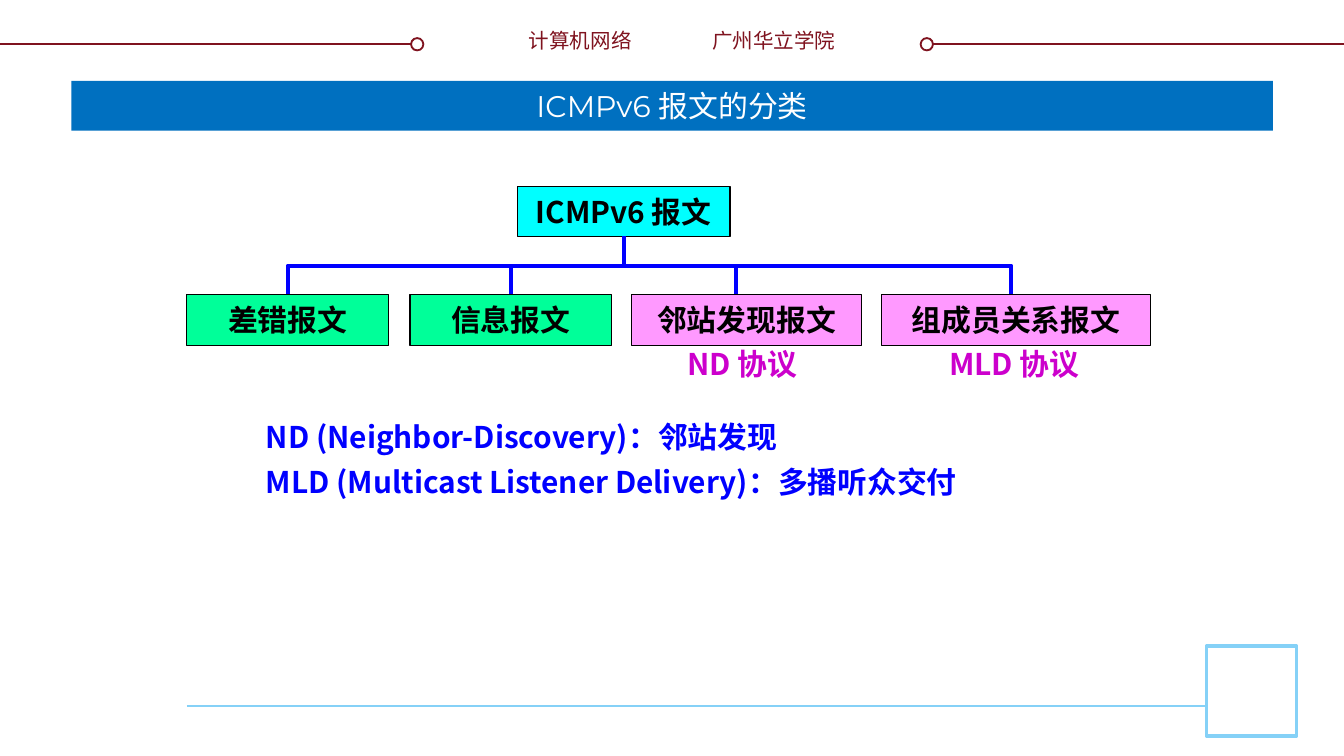
from typing import NamedTuple

from lxml.etree import SubElement
from pptx import Presentation
from pptx.dml.color import RGBColor
from pptx.enum.shapes import MSO_CONNECTOR as Connector
from pptx.enum.shapes import MSO_SHAPE as Preset
from pptx.enum.text import MSO_ANCHOR as Anchor
from pptx.enum.text import PP_ALIGN as Align
from pptx.oxml.ns import qn
from pptx.util import Pt

COLORS = {
    "white": "FFFFFF", "black": "000000", "maroon": "7F131F",
    "sky": "85D1F7", "title": "0070C0", "cyan": "00FFFF",
    "green": "00FF99", "pink": "FF99FF", "purple": "CC00CC", "blue": "0000FF",
}
HAN_FONT = "Noto Sans CJK SC"


class Area(NamedTuple):
    left: float
    top: float
    width: float
    height: float

    @property
    def center(self) -> float:
        return self.left + self.width / 2

    @property
    def bottom(self) -> float:
        return self.top + self.height


class Style(NamedTuple):
    color: str
    size: float = 16
    bold: bool = True
    align: Align = Align.CENTER
    font: str = HAN_FONT


class Node(NamedTuple):
    text: str
    area: Area
    fill: str


class Label(NamedTuple):
    lines: list[str]
    area: Area
    style: Style
    inset: float = 0  # above and below the text
    wrap: bool = True
    spacing: float | None = None


def rgb(name: str) -> RGBColor:
    return RGBColor.from_string(COLORS[name])


def write(frame, lines: list[str], style: Style, spacing: float | None = None) -> None:
    for index, text in enumerate(lines):
        para = frame.paragraphs[0] if index == 0 else frame.add_paragraph()
        para.text = text
        para.alignment = style.align
        if spacing:
            para.line_spacing = Pt(spacing)
        font = para.font
        font.size, font.bold, font.name = Pt(style.size), style.bold, style.font
        font.color.rgb = rgb(style.color)
        defaults = para._p.pPr.find(qn("a:defRPr"))
        SubElement(defaults, qn("a:ea")).set("typeface", HAN_FONT)


def add_box(page, area: Area, fill: str, line: str | None = None,
            weight: float = 1, preset: Preset = Preset.RECTANGLE):
    box = page.shapes.add_shape(preset, *map(Pt, area))
    box.shadow.inherit = False
    box.fill.solid()
    box.fill.fore_color.rgb = rgb(fill)
    if line:
        box.line.color.rgb = rgb(line)
        box.line.width = Pt(weight)
    else:
        box.line.fill.background()
    return box


def add_node(page, node: Node):
    box = add_box(page, node.area, node.fill, "black", 0.75)
    frame = box.text_frame
    frame.word_wrap = False
    frame.vertical_anchor = Anchor.MIDDLE
    write(frame, [node.text], Style("black"))
    return box


def add_line(page, start: tuple[float, float], end: tuple[float, float],
             color: str, weight: float):
    line = page.shapes.add_connector(Connector.STRAIGHT, *map(Pt, (*start, *end)))
    line.line.color.rgb = rgb(color)
    line.line.width = Pt(weight)
    SubElement(line._element.spPr, qn("a:effectLst"))
    return line


def add_label(page, label: Label) -> None:
    frame = page.shapes.add_textbox(*map(Pt, label.area)).text_frame
    frame.word_wrap = label.wrap
    frame.margin_top = frame.margin_bottom = Pt(label.inset)
    write(frame, label.lines, label.style, label.spacing)


deck = Presentation()
deck.slide_width, deck.slide_height = Pt(720), Pt(405)
page = deck.slides.add_slide(deck.slide_layouts[6])

# Header: a line from each edge, ending in a ring
HEADER_Y, RING, REACH = 23.7, 6.6, 226.8
for edge, tip, ring_left in ((0, REACH, REACH - RING), (720, 720 - REACH, 720 - REACH)):
    add_line(page, (edge, HEADER_Y), (tip, HEADER_Y), "maroon", 1)
    ring = Area(ring_left, HEADER_Y - RING / 2, RING, RING)
    add_box(page, ring, "white", "maroon", 1, Preset.OVAL)

# Footer: line and square
square = add_box(page, Area(646.4, 346.1, 48.2, 48.2), "white", "sky", 2)
footer = add_line(page, (100.1, 378.2), (646.4, 378.2), "sky", 1.5)

# Title bar
title = add_box(page, Area(38.2, 43.4, 643.7, 26.6), "title")
title.text_frame.vertical_anchor = Anchor.MIDDLE
write(title.text_frame, ["ICMPv6 报文的分类"], Style("white", bold=False, font="Montserrat"))

# Message tree
ROW_TOP, ROW_HEIGHT, BUS_Y, WEIGHT = 157.7, 27.4, 142.4, 2.25
root = Node("ICMPv6 报文", Area(277.2, 100.1, 113.8, 26.6), "cyan")
errors, info, neighbors, members = [
    Node(text, Area(left, ROW_TOP, width, ROW_HEIGHT), fill)
    for text, left, width, fill in (
        ("差错报文", 100.1, 108, "green"),
        ("信息报文", 219.6, 108, "green"),
        ("邻站发现报文", 338.4, 123.1, "pink"),
        ("组成员关系报文", 472.3, 144, "pink"),
    )
]
root_box = add_node(page, root)
add_node(page, errors)
info_box = add_node(page, info)
add_node(page, neighbors)
add_node(page, members)

# Bus over the outer nodes
BUS_LEFT, BUS_RIGHT = errors.area.center, 541.8
builder = page.shapes.build_freeform(Pt(BUS_LEFT), Pt(ROW_TOP))
corners = ((BUS_LEFT, BUS_Y), (BUS_RIGHT, BUS_Y), (BUS_RIGHT, ROW_TOP))
builder.add_line_segments([(Pt(x), Pt(y)) for x, y in corners], close=False)
bus = builder.convert_to_shape()
bus.shadow.inherit = False
bus.fill.background()
bus.line.color.rgb = rgb("blue")
bus.line.width = Pt(WEIGHT)

# Branches between the bus and the inner nodes
info_x, neighbor_x, root_x = info.area.center, 394.4, root.area.center
info_branch = add_line(page, (info_x, BUS_Y), (info_x, ROW_TOP), "blue", WEIGHT)
info_branch.end_connect(info_box, 0)
add_line(page, (neighbor_x, BUS_Y), (neighbor_x, ROW_TOP), "blue", WEIGHT)
trunk = add_line(page, (root_x, root.area.bottom), (root_x, BUS_Y), "blue", WEIGHT)
trunk.begin_connect(root_box, 2)

# Header names, protocol names and explanations
for label in (
    Label(["计算机网络"], Area(275.8, 13, 69.8, 20.9),
          Style("maroon", 11, False, Align.RIGHT), 1.8, wrap=False),
    Label(["广州华立学院"], Area(374.4, 13, 83.5, 20.9),
          Style("maroon", 11, False, Align.LEFT), 1.8),
    Label(["ND 协议"], Area(349.9, 185, 95.8, 22.3), Style("purple")),
    Label(["MLD 协议"], Area(488.2, 185, 110.2, 22.3), Style("purple")),
    Label(["ND (Neighbor-Discovery)：邻站发现",
           "MLD (Multicast Listener Delivery)：多播听众交付"],
          Area(135.4, 216, 488.9, 55.4), Style("blue", align=Align.LEFT), 3.6, spacing=24),
):
    add_label(page, label)

deck.save("out.pptx")
